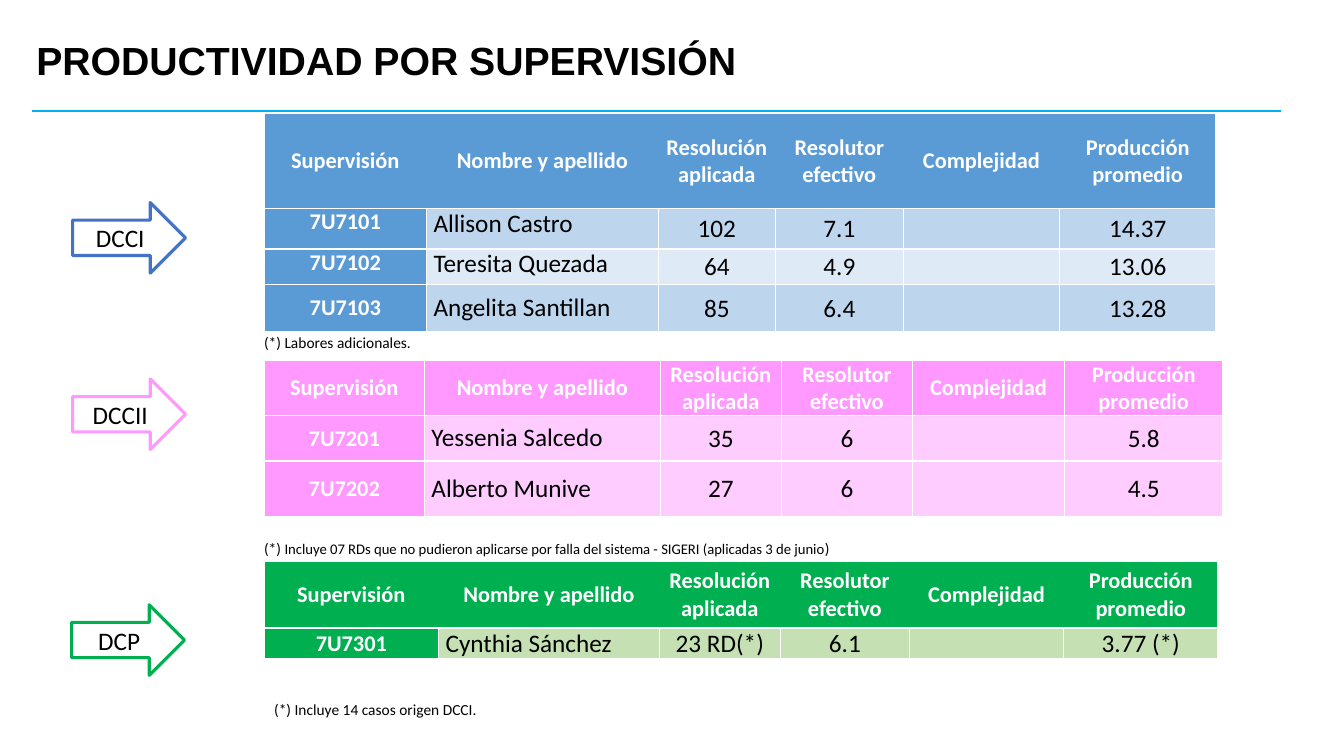
from dataclasses import dataclass

from lxml.etree import SubElement
from pptx import Presentation
from pptx.dml.color import RGBColor
from pptx.enum.shapes import MSO_CONNECTOR, MSO_SHAPE
from pptx.enum.text import MSO_ANCHOR, MSO_AUTO_SIZE, PP_ALIGN
from pptx.oxml.ns import qn
from pptx.util import Inches, Pt

COLORS = {
    "black": "000000", "white": "FFFFFF", "rule": "00B0F0",
    "indigo": "4472C4", "blue": "5B9BD5", "sky": "BDD6EE", "pale": "DEEAF6",
    "pink": "FF99FF", "rose": "FFCCFF", "green": "00B050", "lime": "C5E0B3",
}
HEADS = ["Supervisión", "Nombre y apellido", "Resolución aplicada",
         "Resolutor efectivo", "Complejidad", "Producción promedio"]
NAME = 1  # column aligned to the left


@dataclass
class Arrow:
    text: str
    left: float
    top: float
    color: str


@dataclass
class Grid:
    top: float
    cols: list[float]
    heights: list[float]
    main: str
    bands: list[str]
    rows: list[list[str]]
    ruled: bool = False  # white lines between the headings
    high: int = 0  # body rows whose first two cells sit at the top


@dataclass
class Note:
    left: float
    top: float
    width: float
    texts: list[tuple[str, float]]


ARROWS = [
    Arrow("DCCI", 0.72, 2.01, "indigo"),
    Arrow("DCCII", 0.72, 3.76, "pink"),
    Arrow("DCP", 0.71, 6, "green"),
]
GRIDS = [
    Grid(3.58, [1.59, 2.34, 1.2, 1.3, 1.51, 1.57], [0.54, 0.45, 0.55],
         "pink", ["rose"],
         [["7U7201", "Yessenia Salcedo", "35", "6", "", "5.8"],
          ["7U7202", "Alberto Munive", "27", "6", "", "4.5"]], ruled=True),
    Grid(5.57, [1.73, 2.19, 1.2, 1.28, 1.53, 1.53], [0.66, 0.3],
         "green", ["lime"],
         [["7U7301", "Cynthia Sánchez", "23 RD(*)", "6.1", "", "3.77 (*)"]]),
    Grid(1.13, [1.61, 2.3, 1.16, 1.27, 1.55, 1.55], [0.94, 0.4, 0.35, 0.47],
         "blue", ["sky", "pale"],
         [["7U7101", "Allison Castro", "102", "7.1", "", "14.37"],
          ["7U7102", "Teresita Quezada", "64", "4.9", "", "13.06"],
          ["7U7103", "Angelita Santillan", "85", "6.4", "", "13.28"]], high=2),
]
NOTES = [
    Note(2.52, 5.3, 9.45, [
        ("(*) ", 11),
        ("Incluye 07 RDs que no pudieron aplicarse por falla del sistema"
         " - SIGERI (aplicadas 3 de junio", 10.5),
        (")", 11)]),
    Note(2.62, 6.9, 3.55, [("(*) Incluye 14 casos origen DCCI.", 11)]),
    Note(2.52, 3.26, 9.45, [("(*) Labores adicionales.", 11)]),
]


def rgb(name: str) -> RGBColor:
    return RGBColor.from_string(COLORS[name])


def style(font, size: float, color: str = "black", bold: bool = False,
          face: str = "Calibri") -> None:
    font.name, font.size, font.bold = face, Pt(size), bold
    font.color.rgb = rgb(color)


def draw_title(slide) -> None:
    title = slide.shapes.title
    title.left, title.top = Inches(0.26), Inches(0.27)
    title.width, title.height = Inches(11.5), Inches(0.7)
    frame = title.text_frame
    frame.text = "PRODUCTIVIDAD POR SUPERVISIÓN"
    frame.vertical_anchor = MSO_ANCHOR.MIDDLE
    para = frame.paragraphs[0]
    para.alignment, para.line_spacing = PP_ALIGN.LEFT, 0.9
    style(para.font, 28, bold=True, face="Arial")


def draw_rule(slide) -> None:
    rule = slide.shapes.add_connector(
        MSO_CONNECTOR.STRAIGHT, Inches(0.32), Inches(1.1), Inches(12.71), Inches(1.1))
    rule.line.color.rgb = rgb("rule")
    rule.line.width = Pt(1.5)
    SubElement(rule._element.spPr, qn("a:effectLst"))


def draw_arrow(slide, arrow: Arrow) -> None:
    shape = slide.shapes.add_shape(
        MSO_SHAPE.RIGHT_ARROW, Inches(arrow.left), Inches(arrow.top),
        Inches(1.12), Inches(0.7))
    shape.shadow.inherit = False
    shape.fill.solid()
    shape.fill.fore_color.rgb = rgb("white")
    shape.line.color.rgb = rgb(arrow.color)
    shape.line.width = Pt(2.25)
    frame = shape.text_frame
    frame.text = arrow.text
    frame.vertical_anchor = MSO_ANCHOR.MIDDLE
    para = frame.paragraphs[0]
    para.alignment = PP_ALIGN.CENTER
    style(para.font, 18)


def add_edges(cell, shown: str) -> None:
    """Draw white lines on the shown sides and none on the others."""
    props = cell._tc.get_or_add_tcPr()
    for side in "LRTB":
        line = SubElement(props, qn(f"a:ln{side}"), w=str(Pt(1)))
        if side in shown:
            fill = SubElement(line, qn("a:solidFill"))
            SubElement(fill, qn("a:srgbClr"), val=COLORS["white"])
        else:
            SubElement(line, qn("a:noFill"))


def draw_grid(slide, grid: Grid) -> None:
    lines = [HEADS] + grid.rows
    table = slide.shapes.add_table(
        len(lines), len(HEADS), Inches(2.62), Inches(grid.top),
        Inches(sum(grid.cols)), Inches(sum(grid.heights))).table
    for col, width in zip(table.columns, grid.cols):
        col.width = Inches(width)
    for row, height in zip(table.rows, grid.heights):
        row.height = Inches(height)

    for r, line in enumerate(lines):
        for c, text in enumerate(line):
            cell = table.cell(r, c)
            strong = r == 0 or c == 0
            # Sides and fill
            sides = "LRTB"
            if r == 0 and not grid.ruled:
                sides = "TB" + "L" * (c == 0) + "R" * (c == len(HEADS) - 1)
            add_edges(cell, sides)
            cell.fill.solid()
            band = grid.bands[(r - 1) % len(grid.bands)]
            cell.fill.fore_color.rgb = rgb(grid.main if strong else band)
            # Text
            cell.margin_left = cell.margin_right = Inches(0.07)
            cell.margin_top = Inches(0.01 if r and c > NAME and grid.main != "green" else 0)
            cell.margin_bottom = 0
            raised = 0 < r <= grid.high and c <= NAME
            cell.vertical_anchor = MSO_ANCHOR.TOP if raised else MSO_ANCHOR.MIDDLE
            cell.text = text
            para = cell.text_frame.paragraphs[0]
            para.alignment = PP_ALIGN.LEFT if r and c == NAME else PP_ALIGN.CENTER
            style(para.font, 16 if strong else 18,
                  "white" if strong else "black", strong)


def draw_note(slide, note: Note) -> None:
    box = slide.shapes.add_textbox(
        Inches(note.left), Inches(note.top), Inches(note.width), Inches(0.29))
    frame = box.text_frame
    frame.word_wrap = True
    frame.auto_size = MSO_AUTO_SIZE.SHAPE_TO_FIT_TEXT
    para = frame.paragraphs[0]
    style(para.font, note.texts[0][1])
    for text, size in note.texts:
        run = para.add_run()
        run.text = text
        if len(note.texts) > 1:
            run.font.size = Pt(size)


def main() -> None:
    deck = Presentation()
    deck.slide_width, deck.slide_height = Inches(13.33), Inches(7.5)
    slide = deck.slides.add_slide(deck.slide_layouts[5])
    draw_rule(slide)
    draw_title(slide)
    for arrow in ARROWS:
        draw_arrow(slide, arrow)
    for grid in GRIDS:
        draw_grid(slide, grid)
    for note in NOTES:
        draw_note(slide, note)
    deck.save("out.pptx")


if __name__ == "__main__":
    main()
